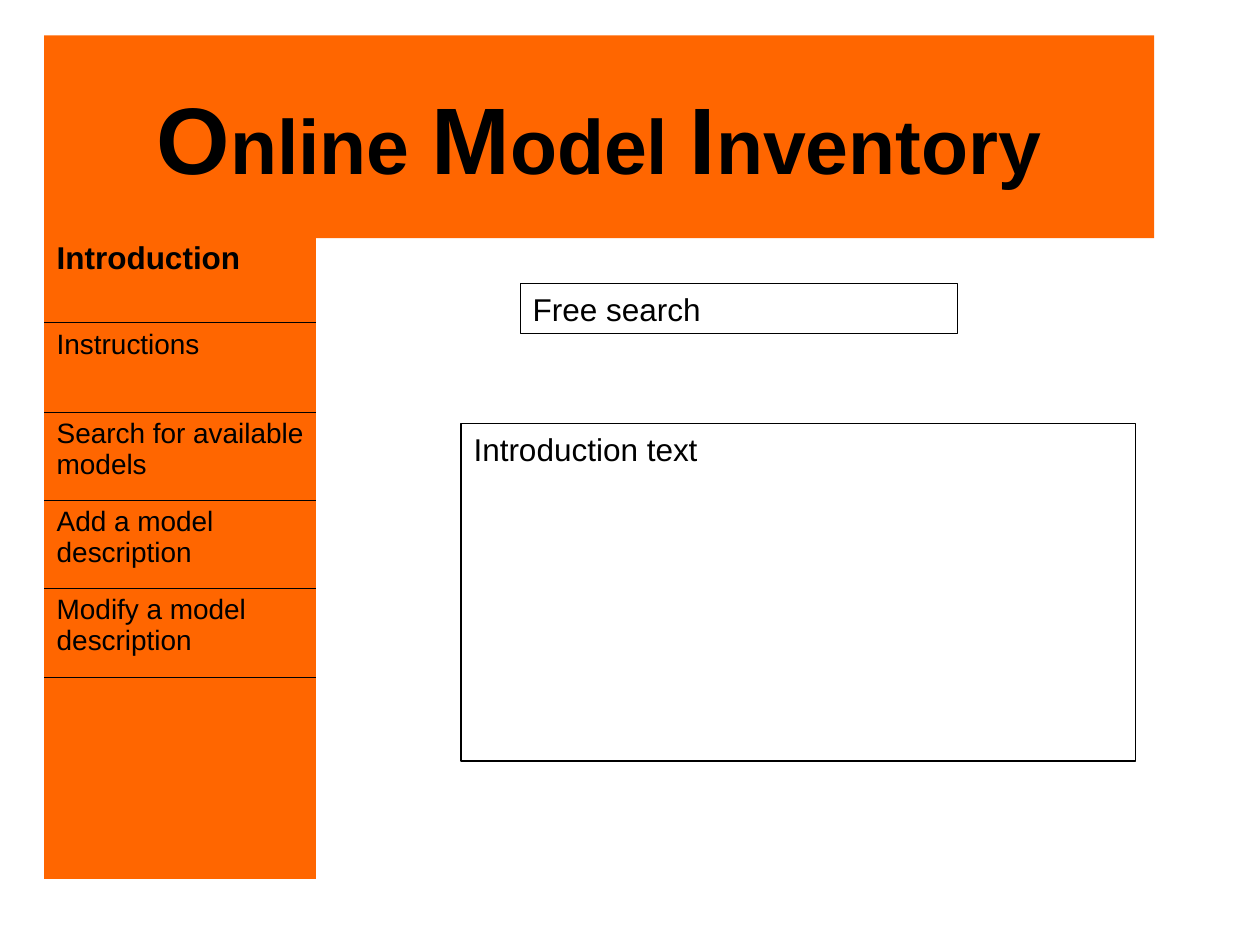
"""Builds the start page mock-up of an online model inventory."""
from dataclasses import dataclass

from lxml import etree
from pptx import Presentation
from pptx.dml.color import RGBColor
from pptx.enum.shapes import MSO_SHAPE as Shape
from pptx.enum.text import MSO_ANCHOR as Anchor, PP_ALIGN as Align
from pptx.oxml.ns import qn
from pptx.util import Inches, Pt

COLORS = {"orange": "FF6600", "black": "000000"}
FONT = "Arial"
LEFT = 0.35


@dataclass
class Panel:
    text: str
    left: float
    top: float
    width: float
    height: float


@dataclass
class MenuItem:
    text: str
    height: float
    size: int = 16
    bold: bool = False


PANELS = [
    Panel("Introduction text", 3.66, 3.36, 5.35, 2.68),
    Panel("Free search", 4.13, 2.25, 3.47, 0.4),
]
MENU = [
    MenuItem("Introduction", 0.7, 18, True),
    MenuItem("Instructions", 0.71),
    MenuItem("Search for available models", 0.7),
    MenuItem("Add a model description", 0.7),
    MenuItem("Modify a model description", 0.71),
    MenuItem("", 1.6),
]


def color(name: str) -> RGBColor:
    return RGBColor.from_string(COLORS[name])


def style(para, size: int, bold: bool = False) -> None:
    font = para.font
    font.name, font.size, font.bold = FONT, Pt(size), bold
    font.color.rgb = color("black")


def add_box(page, left: float, top: float, width: float, height: float):
    box = page.shapes.add_shape(
        Shape.RECTANGLE, Inches(left), Inches(top), Inches(width), Inches(height))
    box.shadow.inherit = False
    box.text_frame.word_wrap = True
    return box


def add_banner(page, title: str) -> None:
    box = add_box(page, LEFT, 0.28, 8.81, 1.61)
    box.fill.solid()
    box.fill.fore_color.rgb = color("orange")
    box.line.fill.background()
    box.text_frame.vertical_anchor = Anchor.MIDDLE
    para = box.text_frame.paragraphs[0]
    para.alignment = Align.CENTER
    style(para, 44, True)
    words = title.split()
    for index, word in enumerate(words):
        initial = para.add_run()
        initial.text = word[0]
        initial.font.size = Pt(54)
        rest = para.add_run()
        rest.text = word[1:] + (" " if index < len(words) - 1 else "")


def add_panel(page, panel: Panel) -> None:
    box = add_box(page, panel.left, panel.top, panel.width, panel.height)
    box.fill.background()
    box.line.color.rgb = color("black")
    box.line.width = Pt(0.74)
    box.text_frame.vertical_anchor = Anchor.TOP
    para = box.text_frame.paragraphs[0]
    para.text = panel.text
    para.alignment = Align.LEFT
    style(para, 18)


def set_borders(cell, ruled: set[str]) -> None:
    properties = cell._tc.get_or_add_tcPr()
    for index, side in enumerate(("lnL", "lnR", "lnT", "lnB")):
        line = etree.Element(qn(f"a:{side}"), w=str(Pt(0.45)))
        if side in ruled:
            fill = etree.SubElement(line, qn("a:solidFill"))
            etree.SubElement(fill, qn("a:srgbClr"), val=COLORS["black"])
        else:
            etree.SubElement(line, qn("a:noFill"))
        properties.insert(index, line)


def add_menu(page, items: list[MenuItem]) -> None:
    height = sum(item.height for item in items)
    table = page.shapes.add_table(
        len(items), 1, Inches(LEFT), Inches(1.86), Inches(2.16), Inches(height)).table
    table.first_row = table.horz_banding = False
    for index, item in enumerate(items):
        table.rows[index].height = Inches(item.height)
        cell = table.cell(index, 0)
        cell.fill.solid()
        cell.fill.fore_color.rgb = color("orange")
        para = cell.text_frame.paragraphs[0]
        para.text = item.text
        style(para, item.size, item.bold)
        ruled = {"lnT"} if index > 0 else set()
        if index < len(items) - 1:
            ruled.add("lnB")
        set_borders(cell, ruled)


def main() -> None:
    deck = Presentation()
    deck.slide_width, deck.slide_height = Inches(10), Inches(7.5)
    page = deck.slides.add_slide(deck.slide_layouts[6])
    add_banner(page, "Online Model Inventory")
    add_menu(page, MENU)
    for panel in PANELS:
        add_panel(page, panel)
    deck.save("out.pptx")


main()
